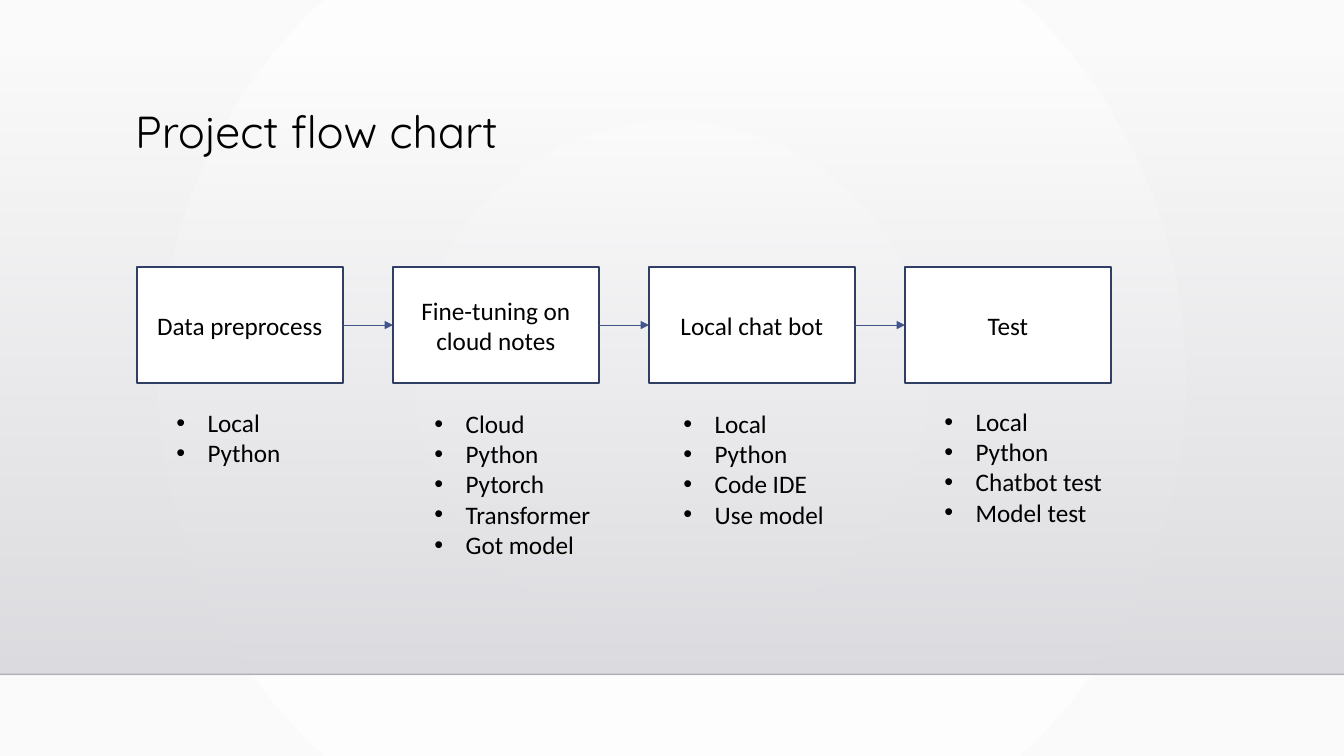
import dataclasses
import lxml.etree
import pptx
import pptx.dml.color
import pptx.enum.dml
import pptx.enum.shapes
import pptx.enum.text
import pptx.oxml.ns
import pptx.util

qn = pptx.oxml.ns.qn


@dataclasses.dataclass
class Theme:
    text: str = "000000"
    box: str = "FFFFFF"
    outline: str = "303F65"
    arrow: str = "415588"
    rule: str = "000001"
    backdrop: tuple = ((0, "FFFFFF", 100), (100, "FAFAFA", 100))
    panel: tuple = ((0, "DCDCE0", 0), (100, "DEDEE2", 100))
    title_font: str = "Quicksand"
    body_font: str = "Calibri"
    title_size: int = 32
    body_size: int = 18


def sub(parent, tag, **attrs):
    el = lxml.etree.SubElement(parent, qn(tag))
    for name, value in attrs.items():
        el.set(name, str(value))
    return el


def rgb(color):
    return pptx.dml.color.RGBColor.from_string(color)


class Deck:
    COLS, ROWS = 26.67, 15

    def __init__(self, theme):
        self.theme = theme
        self.prs = pptx.Presentation()
        self.prs.slide_width = pptx.util.Inches(13.33)
        self.prs.slide_height = pptx.util.Inches(7.5)
        self.s = self.prs.slides.add_slide(self.prs.slide_layouts[4])

    def at(self, col, row, cols, rows):
        w = self.prs.slide_width / self.COLS
        h = self.prs.slide_height / self.ROWS
        return [round(v) for v in (col * w, row * h, cols * w, rows * h)]

    def gradient(self, fill, owner, stops):
        fill.gradient()
        grad = owner.find(".//" + qn("a:gradFill"))
        for child in list(grad):
            grad.remove(child)
        gs_list = sub(grad, "a:gsLst")
        for pos, color, alpha in stops:
            gs = sub(gs_list, "a:gs", pos=pos * 1000)
            sub(sub(gs, "a:srgbClr", val=color), "a:alpha", val=alpha * 1000)
        return grad

    def backdrop(self):
        grad = self.gradient(self.s.background.fill, self.s.element, self.theme.backdrop)
        path = sub(grad, "a:path", path="circle")
        sub(path, "a:fillToRect", l=50000, t=50000, r=50000, b=50000)

    def to_back(self, sp, depth):
        self.s.shapes.element.insert(2 + depth, sp.element)

    def panel(self, row, rows):
        sp = self.s.shapes.add_shape(
            pptx.enum.shapes.MSO_SHAPE.RECTANGLE, *self.at(0, row, self.COLS, rows))
        sp.shadow.inherit = False
        grad = self.gradient(sp.fill, sp.element, self.theme.panel)
        sub(grad, "a:lin", ang=5400000, scaled=0)
        sp.line.fill.background()
        self.to_back(sp, 0)

    def connector(self, x1, y1, x2, y2, color, width):
        ln = self.s.shapes.add_connector(
            pptx.enum.shapes.MSO_CONNECTOR.STRAIGHT, x1, y1, x2, y2)
        ln.line.color.rgb = rgb(color)
        ln.line.width = pptx.util.Pt(width)
        sub(ln.element.spPr, "a:effectLst")
        return ln

    def rule(self, row):
        x, y, w, h = self.at(0, row, self.COLS, 0)
        ln = self.connector(x, y, x + w, y, self.theme.rule, 1)
        sub(ln.element.find(".//" + qn("a:srgbClr")), "a:alpha", val=20000)
        self.to_back(ln, 1)

    def arrow(self, start, end):
        ln = self.connector(0, 0, 0, 0, self.theme.arrow, 0.75)
        ln.begin_connect(start, 3)
        ln.end_connect(end, 1)
        sub(ln.line._get_or_add_ln(), "a:tailEnd", type="triangle")

    def run(self, p, text, font, size):
        r = p.add_run()
        r.text = text
        r.font.name = font
        r.font.size = pptx.util.Pt(size)
        r.font.bold = False
        r.font.color.rgb = rgb(self.theme.text)

    def placeholder(self, idx, cell):
        sp = self.s.placeholders[idx]
        sp.left, sp.top, sp.width, sp.height = self.at(*cell)
        tf = sp.text_frame
        tf.word_wrap = True
        tf.auto_size = pptx.enum.text.MSO_AUTO_SIZE.NONE
        tf.vertical_anchor = pptx.enum.text.MSO_ANCHOR.TOP
        return tf

    def title(self, text, cell):
        p = self.placeholder(0, cell).paragraphs[0]
        p.alignment = pptx.enum.text.PP_ALIGN.LEFT
        p.line_spacing = 0.9
        self.run(p, text, self.theme.title_font, self.theme.title_size)

    def box(self, text, cell):
        sp = self.s.shapes.add_shape(
            pptx.enum.shapes.MSO_SHAPE.FLOWCHART_PROCESS, *self.at(*cell))
        sp.shadow.inherit = False
        sp.fill.solid()
        sp.fill.fore_color.rgb = rgb(self.theme.box)
        sp.line.color.rgb = rgb(self.theme.outline)
        sp.line.width = pptx.util.Pt(1.25)
        tf = sp.text_frame
        tf.word_wrap = True
        tf.vertical_anchor = pptx.enum.text.MSO_ANCHOR.MIDDLE
        p = tf.paragraphs[0]
        p.alignment = pptx.enum.text.PP_ALIGN.CENTER
        self.run(p, text, self.theme.body_font, self.theme.body_size)
        return sp

    def bullets(self, idx, items, cell):
        tf = self.placeholder(idx, cell)
        indent = pptx.util.Inches(0.31)
        for i, item in enumerate(items):
            p = tf.add_paragraph() if i else tf.paragraphs[0]
            p.space_before = pptx.util.Pt(0)
            p_pr = p._p.get_or_add_pPr()
            p_pr.set("marL", str(indent))
            p_pr.set("indent", str(-indent))
            sub(p_pr, "a:buFont", typeface="Arial")
            sub(p_pr, "a:buChar", char="•")
            self.run(p, item, self.theme.body_font, self.theme.body_size)


BOX_LEFT, BOX_TOP, BOX_COLS, BOX_ROWS, GAP = 2.72, 5.3, 4.08, 2.3, 1
STAGES = [
    ("Data preprocess", ["Local", "Python"], (0.58, 7.98, 3.5, 1.42)),
    ("Fine-tuning on cloud notes",
     ["Cloud", "Python", "Pytorch", "Transformer", "Got model"],
     (0.62, 8, 3.5, 3.24)),
    ("Local chat bot", ["Local", "Python", "Code IDE", "Use model"],
     (0.48, 8, 3.5, 2.62)),
    ("Test", ["Local", "Python", "Chatbot test", "Model test"],
     (0.58, 7.96, 4.24, 2.62)),
]

deck = Deck(Theme())
deck.backdrop()
deck.panel(1.02, 12.36)
deck.rule(13.38)
deck.title("Project flow chart", (2.48, 2.08, 21, 2.3))
previous = None
for i, (name, items, (shift, top, cols, rows)) in enumerate(STAGES):
    left = BOX_LEFT + i * (BOX_COLS + GAP)
    box = deck.box(name, (left, BOX_TOP, BOX_COLS, BOX_ROWS))
    if previous:
        deck.arrow(previous, box)
    deck.bullets(i + 1, items, (left + shift, top, cols, rows))
    previous = box
for sp in list(deck.s.placeholders):
    if not sp.text_frame.text:
        sp.element.getparent().remove(sp.element)
deck.prs.save("out.pptx")
